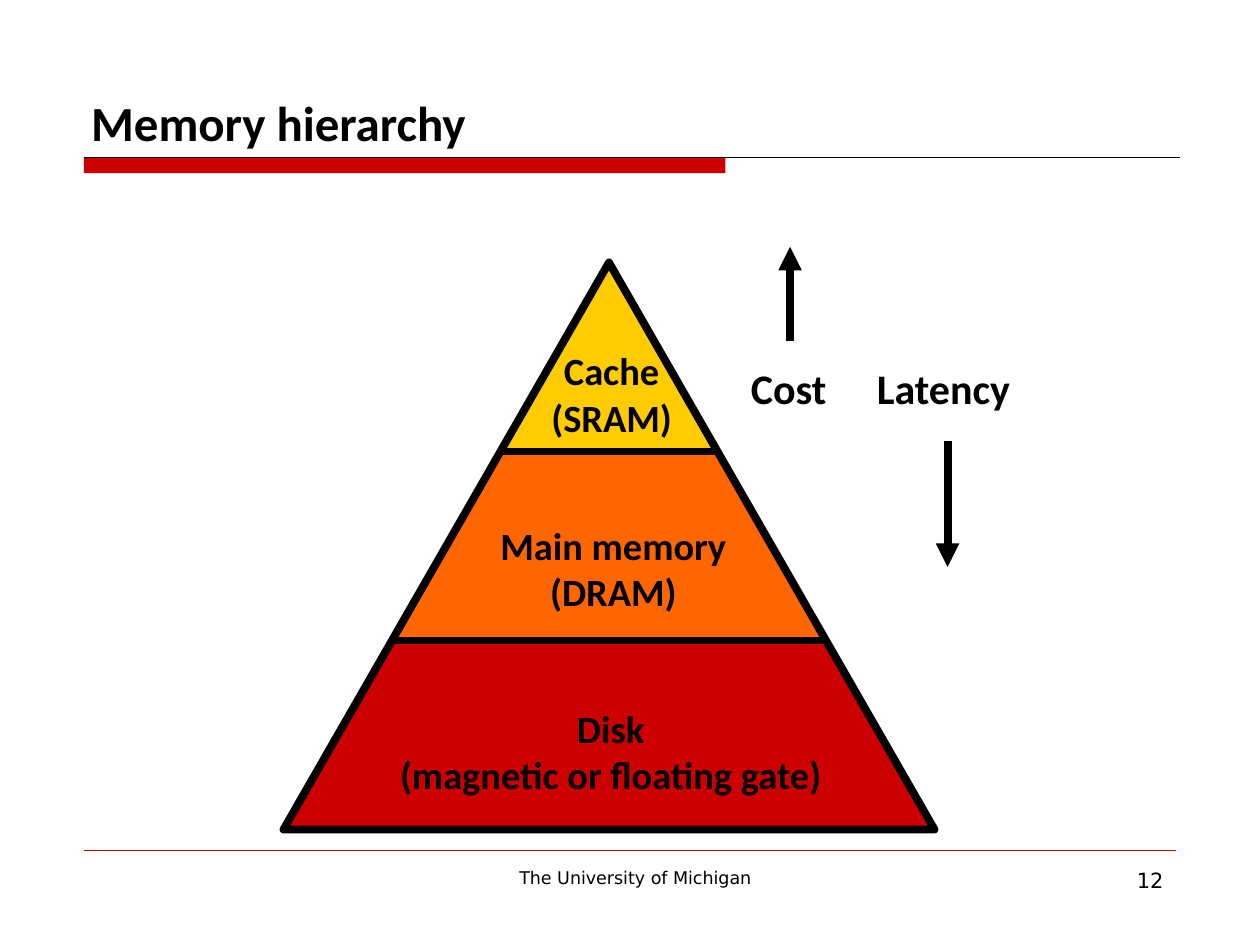
import pptx
import pptx.util
import pptx.dml.color
import pptx.enum.shapes
import pptx.enum.text
import pptx.oxml.ns
import lxml.etree

Pt = pptx.util.Pt
RGBColor = pptx.dml.color.RGBColor
MSO_SHAPE = pptx.enum.shapes.MSO_SHAPE
ALIGN = pptx.enum.text.PP_ALIGN
ANCHOR = pptx.enum.text.MSO_ANCHOR

BLACK = RGBColor(0x00, 0x00, 0x00)
RED = RGBColor(0xCC, 0x00, 0x00)
ORANGE = RGBColor(0xFF, 0x66, 0x00)
YELLOW = RGBColor(0xFF, 0xCC, 0x00)
BLUE = RGBColor(0x33, 0x66, 0x99)

TIERS = [
    ("Cache\n(SRAM)", YELLOW, BLACK, 84, 1.5, 45),
    ("Main memory\n(DRAM)", ORANGE, BLUE, 145, 2.5, 36.5),
    ("Disk\n(magnetic or floating gate)", RED, BLACK, 258, 1, 33.5),
]


def add_label(slide, text, left, top, width, height, size, font="Calibri",
              bold=True, align=ALIGN.LEFT, anchor=ANCHOR.TOP, wrap=False):
    label = slide.shapes.add_textbox(Pt(left), Pt(top), Pt(width), Pt(height))
    frame = label.text_frame
    frame.word_wrap = wrap
    frame.vertical_anchor = anchor
    frame.text = text
    for paragraph in frame.paragraphs:
        paragraph.alignment = align
        for run in paragraph.runs:
            run.font.name = font
            run.font.size = Pt(size)
            run.font.bold = bold
            run.font.color.rgb = BLACK


def add_line(slide, x1, y1, x2, y2, color, weight, arrow=False):
    line = slide.shapes.add_connector(
        pptx.enum.shapes.MSO_CONNECTOR.STRAIGHT, Pt(x1), Pt(y1), Pt(x2), Pt(y2))
    line.line.color.rgb = color
    line.line.width = Pt(weight)
    qn = pptx.oxml.ns.qn
    if arrow:
        lxml.etree.SubElement(line.line._get_or_add_ln(), qn("a:tailEnd"), type="triangle")
    lxml.etree.SubElement(line._element.spPr, qn("a:effectLst"))


def add_header(slide, left, top, width, height):
    rule_y = top + height
    bar = slide.shapes.add_shape(
        MSO_SHAPE.RECTANGLE, Pt(left), Pt(rule_y), Pt(366.5), Pt(9))
    bar.shadow.inherit = False
    bar.fill.solid()
    bar.fill.fore_color.rgb = RED
    bar.line.fill.background()
    add_line(slide, left, rule_y, left + width, rule_y, BLACK, 0.75)
    add_label(slide, "Memory hierarchy", left - 3, top, width + 3.5, height, 28,
              anchor=ANCHOR.BOTTOM, wrap=True)


def add_footer(slide, left, top, width):
    add_line(slide, left, top, left + width, top, RED, 0.25)
    add_label(slide, "The University of Michigan", left + 180, top + 6, 270, 19.5, 10,
              "DejaVu Sans", False, ALIGN.CENTER, wrap=True)
    add_label(slide, "12", left + width - 120, top + 6, 120, 37.5, 12,
              "DejaVu Sans", False, ALIGN.RIGHT, wrap=True)


def add_pyramid(slide, left, top, width, height):
    center = left + width / 2
    tier_height = height / len(TIERS)
    half_step = width / 2 / len(TIERS)

    for index, (_, fill, outline, _, _, _) in enumerate(TIERS):
        upper, lower = index * half_step, (index + 1) * half_step
        y1 = top + index * tier_height
        y2 = y1 + tier_height
        corners = [(center + upper, y1), (center + lower, y2), (center - lower, y2)]
        builder = slide.shapes.build_freeform(Pt(center - upper), Pt(y1))
        builder.add_line_segments([(Pt(x), Pt(y)) for x, y in corners], close=True)
        tier = builder.convert_to_shape()
        tier.shadow.inherit = False
        tier.fill.solid()
        tier.fill.fore_color.rgb = fill
        tier.line.color.rgb = outline
        tier.line.width = Pt(0.75)

    frame = slide.shapes.add_shape(
        MSO_SHAPE.ISOSCELES_TRIANGLE, Pt(left), Pt(top), Pt(width), Pt(height))
    frame.shadow.inherit = False
    frame.fill.background()
    frame.line.color.rgb = BLACK
    frame.line.width = Pt(4.5)

    for index in range(1, len(TIERS)):
        y = top + index * tier_height
        half = index * half_step
        add_line(slide, center - half, y, center + half, y, BLACK, 4.5)

    for index, (text, _, _, label_width, shift, drop) in enumerate(TIERS):
        add_label(slide, text, center + shift - label_width / 2,
                  top + index * tier_height + drop, label_width, 60.5, 22,
                  align=ALIGN.CENTER)


def add_trends(slide, left, top):
    label_y = top + 62.5
    add_label(slide, "Cost", left, label_y, 57.5, 36.5, 24)
    add_line(slide, left + 29.5, top + 54, left + 29.5, top, BLACK, 4.5, arrow=True)
    add_label(slide, "Latency", left + 72, label_y, 91.5, 36.5, 24)
    add_line(slide, left + 119.5, top + 111, left + 119.5, top + 183, BLACK, 4.5, arrow=True)


def main():
    deck = pptx.Presentation()
    deck.slide_width = Pt(720)
    deck.slide_height = Pt(540)
    slide = deck.slides.add_slide(deck.slide_layouts[6])
    add_header(slide, 48, 24, 626.5, 66)
    add_footer(slide, 48, 486, 624)
    add_pyramid(slide, 162, 150, 372, 324)
    add_trends(slide, 422, 141)
    deck.save("out.pptx")


if __name__ == "__main__":
    main()
